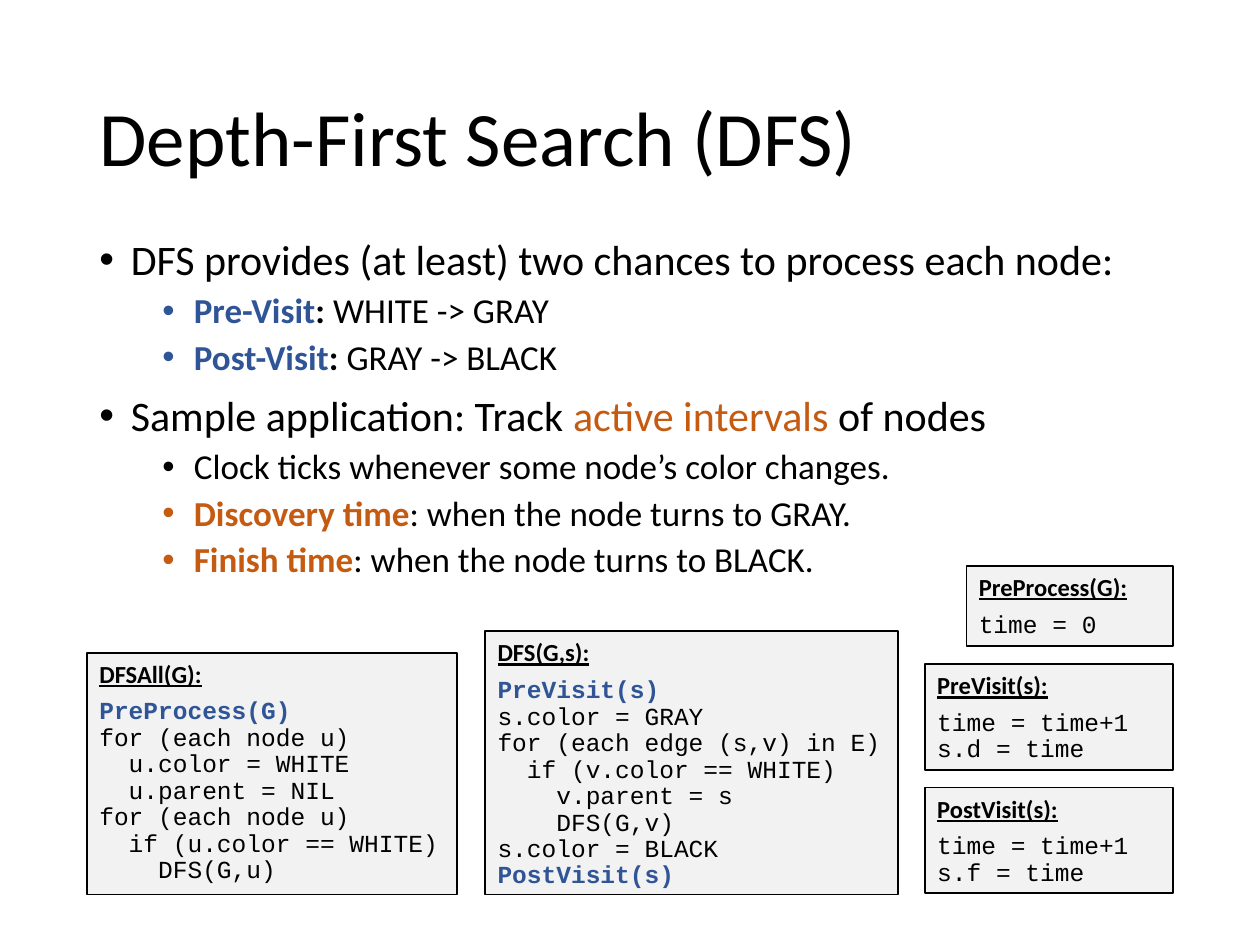
from pptx import Presentation
from pptx.dml.color import RGBColor
from pptx.enum import shapes, text
from pptx.oxml.ns import qn
from pptx.util import Inches, Pt
from lxml import etree

COLORS = {"black": "000000", "blue": "2F5597", "orange": "C55A11", "panel": "F2F2F2"}

TITLE = "Depth-First Search (DFS)"

BULLETS = [
    (0, [("DFS provides (at least) two chances to process each node:", "black", False)]),
    (1, [("Pre-Visit", "blue", True), (":", "black", True), (" WHITE -> GRAY", "black", False)]),
    (1, [("Post-Visit", "blue", True), (": ", "black", True), ("GRAY -> BLACK", "black", False)]),
    (0, [("Sample application: Track ", "black", False), ("active intervals", "orange", False),
         (" of nodes", "black", False)]),
    (1, [("Clock ticks whenever some node’s color changes.", "black", False)]),
    (1, [("Discovery time", "orange", True), (": when the node turns to GRAY.", "black", False)]),
    (1, [("Finish time", "orange", True), (": when the node turns to BLACK.", "black", False)]),
]

LEVELS = [
    {"size": 24, "indent": 0.25, "space": 10},
    {"size": 20, "indent": 0.75, "space": 5},
]

HOOKS = {"PreProcess(G)", "PreVisit(s)", "PostVisit(s)"}

PANELS = [
    ("DFS(G,s):", (3.85, 5.01, 3.28, 2.09), [
        "PreVisit(s)",
        "s.color = GRAY",
        "for (each edge (s,v) in E)",
        "  if (v.color == WHITE)",
        "    v.parent = s",
        "    DFS(G,v)",
        "s.color = BLACK",
        "PostVisit(s)",
    ]),
    ("DFSAll(G):", (0.69, 5.18, 2.94, 1.92), [
        "PreProcess(G)",
        "for (each node u)",
        "  u.color = WHITE",
        "  u.parent = NIL",
        "for (each node u)",
        "  if (u.color == WHITE)",
        "    DFS(G,u)",
    ]),
    ("PreProcess(G):", (7.67, 4.49, 1.64, 0.64), ["time = 0"]),
    ("PreVisit(s):", (7.34, 5.27, 1.97, 0.84), ["time = time+1", "s.d = time"]),
    ("PostVisit(s):", (7.34, 6.25, 1.97, 0.84), ["time = time+1", "s.f = time"]),
]


def color(name):
    return RGBColor.from_string(COLORS[name])


def set_all(target, values):
    for name, value in values.items():
        setattr(target, name, value)


def add_span(para, words, size, tint="black", face="Calibri", **style):
    span = para.add_run()
    span.text = words
    set_all(span.font, {"size": Pt(size), "name": face, **style})
    span.font.color.rgb = color(tint)


def next_para(frame, index):
    return frame.paragraphs[0] if index == 0 else frame.add_paragraph()


def add_bullet(para, indent):
    props = para._p.get_or_add_pPr()
    props.set("marL", str(Inches(indent)))
    props.set("indent", str(Inches(-0.25)))
    etree.SubElement(props, qn("a:buFont")).set("typeface", "Arial")
    etree.SubElement(props, qn("a:buChar")).set("char", "•")


def add_title(page):
    title = page.shapes.title
    set_all(title, dict(zip(("left", "top", "width", "height"),
                            map(Inches, (0.69, 0.4, 8.62, 1.45)))))
    set_all(title.text_frame, {"word_wrap": True, "vertical_anchor": text.MSO_ANCHOR.MIDDLE})
    para = title.text_frame.paragraphs[0]
    set_all(para, {"alignment": text.PP_ALIGN.LEFT, "line_spacing": 0.9})
    add_span(para, TITLE, 44)


def add_body(page):
    box = page.shapes.add_textbox(*map(Inches, (0.69, 1.85, 8.62, 5.25)))
    box.text_frame.word_wrap = True
    for index, (level, spans) in enumerate(BULLETS):
        look = LEVELS[level]
        para = next_para(box.text_frame, index)
        add_bullet(para, look["indent"])
        set_all(para, {"level": level, "line_spacing": 0.9,
                       "space_before": Pt(look["space"] if index else 0)})
        for words, tint, bold in spans:
            add_span(para, words, look["size"], tint, bold=bold)


def add_panel(page, heading, place, code):
    panel = page.shapes.add_shape(shapes.MSO_SHAPE.RECTANGLE, *map(Inches, place))
    panel.shadow.inherit = False
    panel.fill.solid()
    panel.fill.fore_color.rgb = color("panel")
    panel.line.color.rgb = color("black")
    panel.line.width = Pt(1)
    frame = panel.text_frame
    set_all(frame, {"word_wrap": True, "vertical_anchor": text.MSO_ANCHOR.TOP})
    for index, words in enumerate([heading, *code]):
        para = next_para(frame, index)
        para.alignment = text.PP_ALIGN.LEFT
        if index == 0:
            para.space_after = Pt(6)
            add_span(para, words, 14, bold=True, underline=True)
        else:
            para.line_spacing = 0.9
            hook = words in HOOKS
            add_span(para, words, 14, "blue" if hook else "black", "Courier New", bold=hook)


def main():
    deck = Presentation()
    set_all(deck, {"slide_width": Inches(10), "slide_height": Inches(7.5)})
    page = deck.slides.add_slide(deck.slide_layouts.get_by_name("Title Only"))
    add_title(page)
    add_body(page)
    for panel in PANELS:
        add_panel(page, *panel)
    deck.save("out.pptx")


if __name__ == "__main__":
    main()
